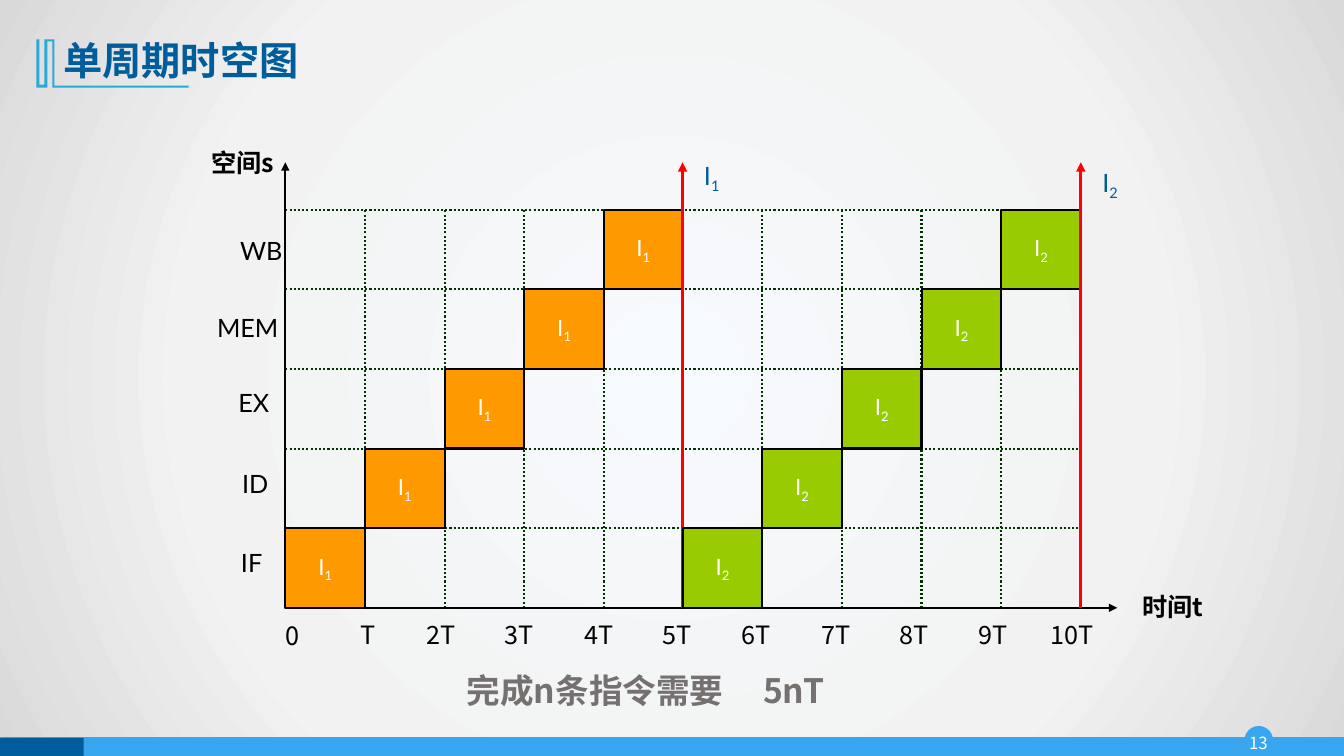
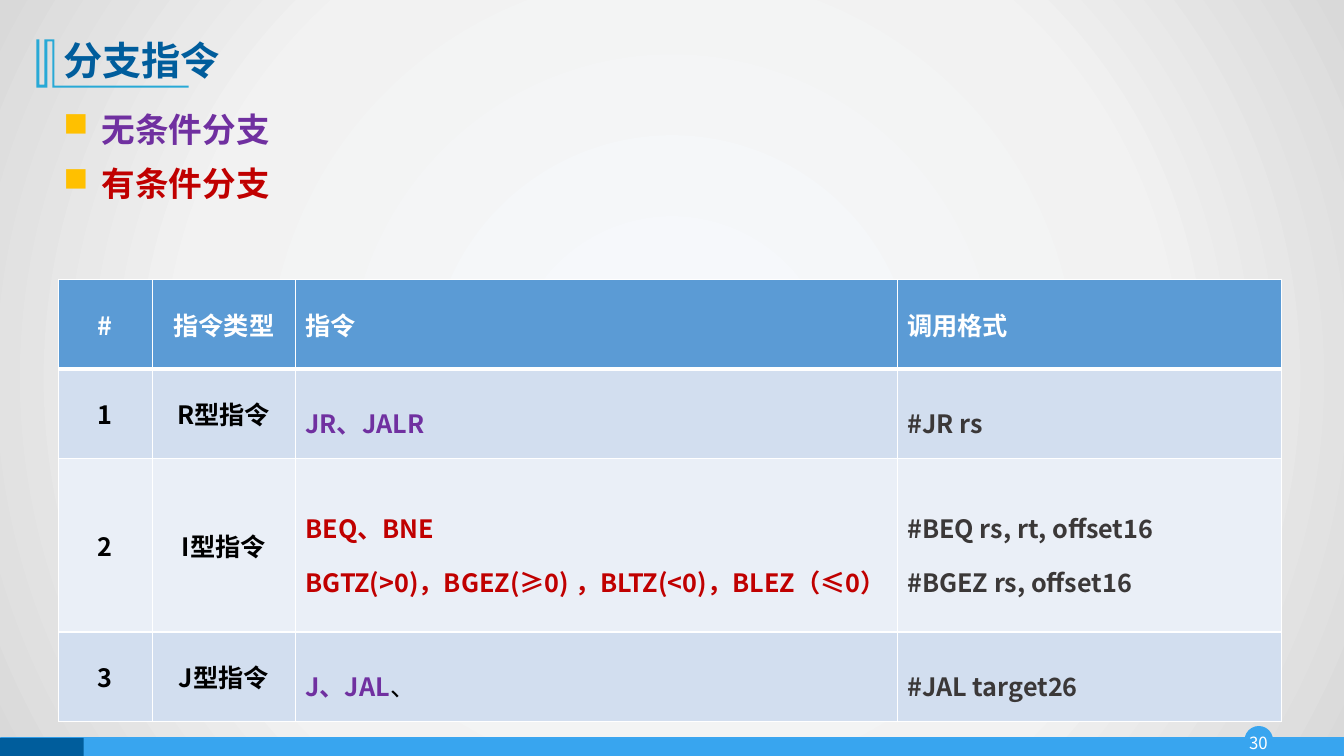
from lxml import etree
from pptx import Presentation
from pptx.dml.color import RGBColor
from pptx.enum.dml import MSO_LINE
from pptx.enum.shapes import MSO_CONNECTOR, MSO_SHAPE
from pptx.enum.text import MSO_ANCHOR, PP_ALIGN
from pptx.oxml import parse_xml
from pptx.oxml.ns import nsdecls, qn
from pptx.util import Pt

PX = 9144
STRAIGHT = MSO_CONNECTOR.STRAIGHT
RECTANGLE, OVAL = MSO_SHAPE.RECTANGLE, MSO_SHAPE.OVAL
LEFT, CENTER, RIGHT = PP_ALIGN.LEFT, PP_ALIGN.CENTER, PP_ALIGN.RIGHT
TOP, MIDDLE = MSO_ANCHOR.TOP, MSO_ANCHOR.MIDDLE
DOTTED = MSO_LINE.ROUND_DOT
LATO, MONTSERRAT, NOTO = "Lato", "Montserrat", "Noto Sans CJK SC"

COLORS = {
    "title": "005D9C", "band": "38A5EF", "band_line": "3BA6F0", "ornament": "28A9D6",
    "white": "FFFFFF", "black": "000000", "grid": "003300", "finish": "FF0000",
    "first": "FF9900", "second": "99CC00", "summary": "767171",
    "purple": "7030A0", "red": "C00000", "bullet": "FFC000", "dark": "3B3838",
    "header": "5B9BD5", "odd_row": "D2DEEF", "even_row": "EAEFF7",
}
BACKDROP_STOPS = ((0, "F7FAFD"), (63, "F2F2F2"), (100, "D9D9D9"))
ORNAMENT = (
    (54, 39), (54, 85), (187, 85), (187, 87), (52, 87), (52, 41), (47, 41), (47, 87),
    (36, 87), (36, 39), (39, 39), (39, 84), (44, 84), (44, 39),
)

ORIGIN_X, ORIGIN_Y = 283, 603
PLOT_WIDTH, ROW_HEIGHT = 789, 79
STAGES, CYCLES = 5, 10
ARROW_TOP = 161
STAGE_LABELS = (
    ("IF", 270, 538), ("ID", 276, 460), ("EX", 277, 379), ("MEM", 286, 305), ("WB", 290, 229),
)
INSTRUCTIONS = (("1", "first", 658, 154), ("2", "second", 1053, 161))

COLUMN_WIDTHS = (93, 142, 597, 381)
ROW_HEIGHTS = (89, 89, 172, 89)
HEADINGS = ("#", "指令类型", "指令", "调用格式")
BRANCH_ROWS = (
    ("R型指令", "purple", ("JR、JALR",), ("#JR rs",)),
    ("I型指令", "red", ("BEQ、BNE", "BGTZ(>0)，BGEZ(≥0) ，BLTZ(<0)，BLEZ（≤0）"),
     ("#BEQ rs, rt, offset16", "#BGEZ rs, offset16")),
    ("J型指令", "purple", ("J、JAL",), ("#JAL target26",)),
)


def rgb(name):
    return RGBColor.from_string(COLORS[name])


def px(*lengths):
    return [length * PX for length in lengths]


def column_x(cycle):
    return ORIGIN_X + round(PLOT_WIDTH * cycle / CYCLES)


def row_y(stage):
    return ORIGIN_Y - ROW_HEIGHT * stage


def style(para, size, color, font=NOTO, bold=False, align=LEFT, spacing=None):
    para.alignment = align
    if spacing:
        para.line_spacing = spacing
    para.font.size = Pt(size)
    para.font.name = font
    para.font.bold = bold
    para.font.color.rgb = rgb(color)


def add_label(page, text, at, size=18, color="black", anchor=TOP, **kwargs):
    box = page.shapes.add_textbox(*px(*at))
    box.text_frame.word_wrap = True
    box.text_frame.vertical_anchor = anchor
    para = box.text_frame.paragraphs[0]
    para.text = text
    style(para, size, color, **kwargs)
    return box


def add_subscript(para, text):
    span = para.add_run()
    span.text = text
    span._r.get_or_add_rPr().set("baseline", "-25000")


def paint(shape, fill, line=None, width=1.0):
    shape.shadow.inherit = False
    shape.fill.solid()
    shape.fill.fore_color.rgb = rgb(fill)
    if line:
        shape.line.color.rgb = rgb(line)
        shape.line.width = Pt(width)
    else:
        shape.line.fill.background()


def add_block(page, kind, at, fill, line=None, width=1.0):
    block = page.shapes.add_shape(kind, *px(*at))
    paint(block, fill, line, width)
    return block


def add_line(page, start, end, color, width=1.5, dash=None, arrow=False):
    line = page.shapes.add_connector(STRAIGHT, *px(*start, *end))
    line.line.color.rgb = rgb(color)
    line.line.width = Pt(width)
    if dash:
        line.line.dash_style = dash
    properties = line.element.spPr
    if arrow:
        etree.SubElement(properties.find(qn("a:ln")), qn("a:tailEnd"), type="triangle")
    etree.SubElement(properties, qn("a:effectLst"))


def set_backdrop(deck):
    master = deck.slide_master
    master.background.fill.solid()
    properties = master.element.find(".//" + qn("p:bgPr"))
    stops = "".join(
        f'<a:gs pos="{pos * 1000}"><a:srgbClr val="{color}"/></a:gs>'
        for pos, color in BACKDROP_STOPS
    )
    gradient = parse_xml(
        f'<a:gradFill {nsdecls("a")} rotWithShape="1"><a:gsLst>{stops}</a:gsLst>'
        '<a:path path="circle"><a:fillToRect l="50000" t="50000" r="50000" b="50000"/>'
        "</a:path></a:gradFill>"
    )
    properties.replace(properties.find(qn("a:solidFill")), gradient)


def add_page(deck, title, number, title_font):
    page = deck.slides.add_slide(deck.slide_layouts[5])
    add_block(page, OVAL, (1235, 721, 27, 27), "band", "band")
    add_block(page, RECTANGLE, (1, 732, 1332, 19), "band", "band_line")
    add_block(page, RECTANGLE, (0, 732, 83, 19), "title")
    badge = add_label(page, number, (1232, 721, 32, 31), 12, "white", MIDDLE, align=CENTER)
    frame = badge.text_frame
    frame.margin_left = frame.margin_top = frame.margin_right = frame.margin_bottom = 0
    builder = page.shapes.build_freeform(*ORNAMENT[0], scale=PX)
    builder.add_line_segments(ORNAMENT[1:], close=True)
    paint(builder.convert_to_shape(), "ornament")

    heading = page.shapes.title
    heading.left, heading.top, heading.width, heading.height = px(53, 28, 1150, 68)
    heading.text_frame.vertical_anchor = MIDDLE
    heading.text_frame.text = title
    style(heading.text_frame.paragraphs[0], 28, "title", title_font, True, spacing=0.9)
    return page


def add_instruction_blocks(page, first_cycle, index, color):
    for stage in range(STAGES):
        left = column_x(first_cycle + stage)
        width = column_x(first_cycle + stage + 1) - left
        at = (left, row_y(stage + 1), width, ROW_HEIGHT)
        block = add_block(page, RECTANGLE, at, color, "black", 1.5)
        block.text_frame.word_wrap = False
        block.text_frame.vertical_anchor = MIDDLE
        para = block.text_frame.paragraphs[0]
        para.text = "I"
        style(para, 16, "white", LATO, align=CENTER)
        add_subscript(para, index)


def add_plot(page):
    right = column_x(CYCLES)
    for stage in range(1, STAGES + 1):
        y = row_y(stage)
        add_line(page, (ORIGIN_X, y), (right, y), "grid", dash=DOTTED)
    for cycle in range(1, CYCLES + 1):
        x = column_x(cycle)
        add_line(page, (x, ORIGIN_Y), (x, row_y(STAGES)), "grid", dash=DOTTED)
    origin = (ORIGIN_X, ORIGIN_Y)
    add_line(page, origin, (1108, ORIGIN_Y), "black", arrow=True)
    add_line(page, origin, (ORIGIN_X, ARROW_TOP), "black", arrow=True)

    for order, (index, color, left, top) in enumerate(INSTRUCTIONS):
        first_cycle = order * STAGES
        add_instruction_blocks(page, first_cycle, index, color)
        label = add_label(page, "I", (left, top, 96, 40), color="title", font=LATO, align=CENTER)
        add_subscript(label.text_frame.paragraphs[0], index)
        finish = column_x(first_cycle + STAGES)
        add_line(page, (finish, ORIGIN_Y), (finish, ARROW_TOP), "finish", 2.25, arrow=True)


def add_plot_labels(page):
    add_label(page, "空间s", (168, 141, 114, 40), bold=True, align=RIGHT)
    add_label(page, "时间t", (1102, 582, 123, 40), bold=True, align=CENTER)
    for stage, right, top in STAGE_LABELS:
        add_label(page, stage, (right - 116, top, 116, 40), font=LATO, align=RIGHT)
    ticks = [("0", 290, 611), ("T", 365, 609)]
    ticks += [(f"{n}T", 437 + round(78.3 * (n - 2)), 609) for n in range(2, CYCLES + 1)]
    for text, center, top in ticks:
        add_label(page, text, (center - 40, top, 80, 40), align=CENTER)


def add_summary(page):
    box = add_label(page, "", (453, 660, 401, 57))
    para = box.text_frame.paragraphs[0]
    tabs = etree.SubElement(para._p.get_or_add_pPr(), qn("a:tabLst"))
    etree.SubElement(tabs, qn("a:tab"), pos=str(294 * PX), algn="l")
    tabs.getparent().insert(0, tabs)
    para.text = "完成n条指令需要\t5nT"
    style(para, 24, "summary", bold=True)


def add_bullets(page, items):
    frame = page.shapes.add_textbox(*px(53, 103, 911, 140)).text_frame
    frame.word_wrap = True
    for order, (text, color) in enumerate(items):
        para = frame.add_paragraph() if order else frame.paragraphs[0]
        para.text = text
        properties = para._p.get_or_add_pPr()
        properties.set("marL", str(38 * PX))
        properties.set("indent", str(-38 * PX))
        bullet_color = etree.SubElement(properties, qn("a:buClr"))
        etree.SubElement(bullet_color, qn("a:srgbClr"), val=COLORS["bullet"])
        etree.SubElement(properties, qn("a:buChar"), char="■")
        if order:
            para.space_before = Pt(10)
        style(para, 24, color, bold=True)


def set_borders(cell, top, bottom):
    properties = cell._tc.get_or_add_tcPr()
    for side, width in (("L", 1), ("R", 1), ("T", top), ("B", bottom)):
        border = etree.SubElement(properties, qn(f"a:ln{side}"), w=str(Pt(width)))
        fill = etree.SubElement(border, qn("a:solidFill"))
        etree.SubElement(fill, qn("a:srgbClr"), val=COLORS["white"])


def fill_cell(cell, lines, color, fill, **kwargs):
    cell.fill.solid()
    cell.fill.fore_color.rgb = rgb(fill)
    cell.vertical_anchor = MIDDLE
    cell.text = "\n".join(lines)
    for para in cell.text_frame.paragraphs:
        style(para, 18, color, bold=True, **kwargs)


def add_branch_table(page):
    size = (sum(COLUMN_WIDTHS), sum(ROW_HEIGHTS))
    table = page.shapes.add_table(4, 4, *px(58, 277, *size)).table
    for column, width in zip(table.columns, COLUMN_WIDTHS):
        column.width = width * PX
    for number, (row, height) in enumerate(zip(table.rows, ROW_HEIGHTS)):
        row.height = height * PX
        for cell in row.cells:
            set_borders(cell, 3 if number == 1 else 1, 3 if number == 0 else 1)
    for column, heading in enumerate(HEADINGS):
        align = CENTER if column < 2 else LEFT
        fill_cell(table.cell(0, column), [heading], "white", "header", align=align)
    for number, (kind, color, names, formats) in enumerate(BRANCH_ROWS, 1):
        fill = "odd_row" if number % 2 else "even_row"
        fill_cell(table.cell(number, 0), [str(number)], "black", fill, align=CENTER)
        fill_cell(table.cell(number, 1), [kind], "black", fill, align=CENTER)
        fill_cell(table.cell(number, 2), names, color, fill, spacing=1.5)
        fill_cell(table.cell(number, 3), formats, "dark", fill, spacing=1.5)
    span = table.cell(3, 2).text_frame.paragraphs[0].add_run()
    span.text = "、"
    span.font.bold = False
    span.font.color.rgb = rgb("black")


def main():
    deck = Presentation()
    deck.slide_width, deck.slide_height = px(1333, 750)
    set_backdrop(deck)

    page = add_page(deck, "单周期时空图", "13", MONTSERRAT)
    add_plot(page)
    add_plot_labels(page)
    add_summary(page)

    page = add_page(deck, "分支指令", "30", NOTO)
    add_bullets(page, (("无条件分支", "purple"), ("有条件分支", "red")))
    add_branch_table(page)

    deck.save("out.pptx")


if __name__ == "__main__":
    main()
